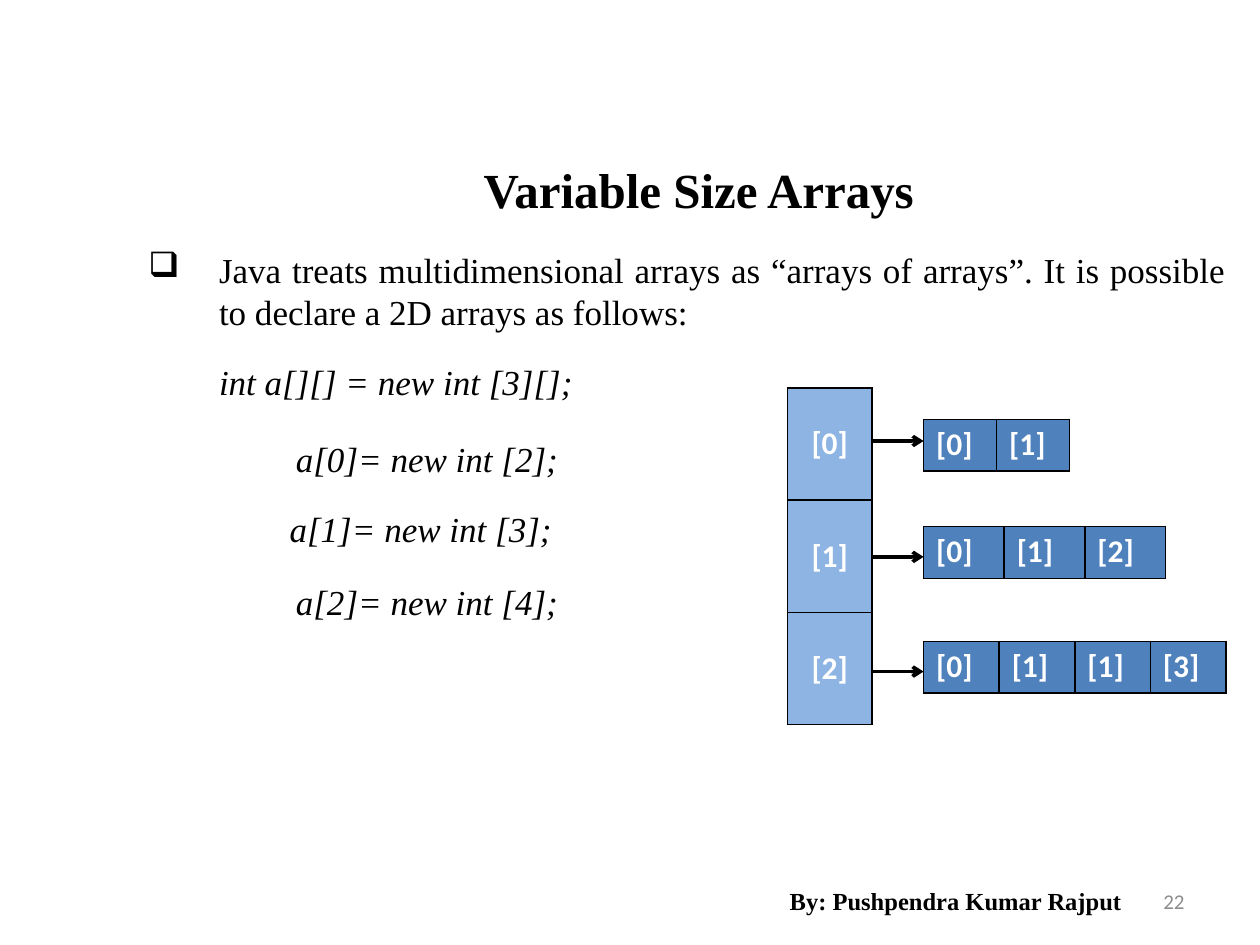
import pptx
import pptx.dml.color
import pptx.enum.shapes
import pptx.enum.text
import pptx.oxml
import pptx.oxml.ns
import pptx.util
from pptx.util import Inches

ALIGN = pptx.enum.text.PP_ALIGN
MIDDLE = pptx.enum.text.MSO_ANCHOR.MIDDLE
NAMESPACE = pptx.oxml.ns.nsdecls("a")


def style(para, size, color, font_name="Times New Roman", bold=False, italic=False):
    font = para.runs[0].font
    font.name, font.size = font_name, pptx.util.Pt(size)
    font.bold, font.italic = bold, italic
    font.color.rgb = pptx.dml.color.RGBColor.from_string(color)


def add_array(left, top, labels, cell_width, cell_height, fill, centered=False):
    """Add a table of index cells: a column when centered, otherwise a row."""
    count = len(labels)
    rows, columns = (count, 1) if centered else (1, count)
    frame = slide.shapes.add_table(rows, columns, Inches(left), Inches(top),
                                   Inches(cell_width * columns), Inches(cell_height * rows))
    table = frame.table
    for column in table.columns:
        column.width = Inches(cell_width)
    for row in table.rows:
        row.height = Inches(cell_height)
    for cell, label in zip(table.iter_cells(), labels):
        cell.text_frame.text = f"[{label}]"
        para = cell.text_frame.paragraphs[0]
        style(para, 18, "FFFFFF", "Calibri", bold=True)
        if centered:
            para.alignment = ALIGN.CENTER
            cell.vertical_anchor = MIDDLE
        cell.fill.solid()
        cell.fill.fore_color.rgb = pptx.dml.color.RGBColor.from_string(fill)
        properties = cell._tc.get_or_add_tcPr()
        for position, side in enumerate("LRTB"):
            properties.insert(position, pptx.oxml.parse_xml(
                f'<a:ln{side} {NAMESPACE} w="12700"><a:solidFill>'
                f'<a:srgbClr val="000000"/></a:solidFill></a:ln{side}>'))


deck = pptx.Presentation()
deck.slide_width, deck.slide_height = Inches(10), Inches(7.5)
slide = deck.slides.add_slide(deck.slide_layouts[6])

# Title, introduction, footer and page number
texts = [
    ("Variable Size Arrays", 1.67, 1.17, 7.75, 0.58, ALIGN.CENTER, 28, "000000", "Times New Roman", True),
    ("Java treats multidimensional arrays as “arrays of arrays”. It is possible to declare "
     "a 2D arrays as follows:",
     1.08, 1.92, 8.75, 0.92, ALIGN.JUSTIFY, 20, "000000", "Times New Roman", False),
    ("By: Pushpendra Kumar Rajput", 6, 6.95, 3.17, 0.4, ALIGN.CENTER, 14, "000000", "Times New Roman", True),
    ("22", 7.17, 6.95, 2.33, 0.4, ALIGN.RIGHT, 12, "8C8C8C", "Calibri", False),
]
for text, left, top, width, height, alignment, size, color, font_name, bold in texts:
    box = slide.shapes.add_textbox(Inches(left), Inches(top), Inches(width), Inches(height))
    box.text_frame.word_wrap = True
    box.text_frame.text = text
    para = box.text_frame.paragraphs[0]
    para.alignment = alignment
    if size == 28:
        para.line_spacing = 1.1
    if alignment == ALIGN.JUSTIFY:
        properties = para._p.get_or_add_pPr()
        properties.set("marL", str(Inches(0.56)))
        properties.set("indent", str(-Inches(0.56)))
        properties.append(pptx.oxml.parse_xml(f'<a:buChar {NAMESPACE} char="❑"/>'))
        para.space_after = pptx.util.Pt(12)
    if top > 6:
        box.text_frame.vertical_anchor = MIDDLE
    style(para, size, color, font_name, bold)

# Declarations
declarations = [
    ("int a[][] = new int [3][];", 1.14, 2.81, 3.53),
    ("a[0]= new int [2];", 1.75, 3.42, 2.8),
    ("a[1]= new int [3];", 1.7, 3.98, 2.8),
    ("a[2]= new int [4];", 1.75, 4.56, 2.8),
]
for code, left, top, width in declarations:
    box = slide.shapes.add_textbox(Inches(left), Inches(top), Inches(width), Inches(0.44))
    box.text_frame.word_wrap = False
    box.text_frame.text = code
    para = box.text_frame.paragraphs[0]
    para.alignment = ALIGN.JUSTIFY
    properties = para._p.get_or_add_pPr()
    properties.set("marL", str(Inches(1.06)))
    properties.set("indent", str(-Inches(0.56)))
    style(para, 20, "000000", italic=True)

# Outer array, and the inner array each of its cells points to
add_array(6.25, 3.08, "012", 0.67, 0.89, "8EB4E3", centered=True)
inner_arrays = [("01", 3.33, 0.58, 3.5), ("012", 4.18, 0.64, 4.42), ("0113", 5.09, 0.6, 5.33)]
for labels, top, cell_width, arrow_y in inner_arrays:
    add_array(7.33, top, labels, cell_width, 0.41, "4F81BD")
    arrow = slide.shapes.add_connector(pptx.enum.shapes.MSO_CONNECTOR.STRAIGHT, Inches(6.92),
                                       Inches(arrow_y), Inches(7.33), Inches(arrow_y))
    arrow.line.width = pptx.util.Pt(2)
    arrow.line.color.rgb = pptx.dml.color.RGBColor.from_string("000000")
    arrow.line._get_or_add_ln().append(pptx.oxml.parse_xml(f'<a:tailEnd {NAMESPACE} type="arrow"/>'))
    arrow._element.spPr.append(pptx.oxml.parse_xml(f"<a:effectLst {NAMESPACE}/>"))

deck.save("out.pptx")
